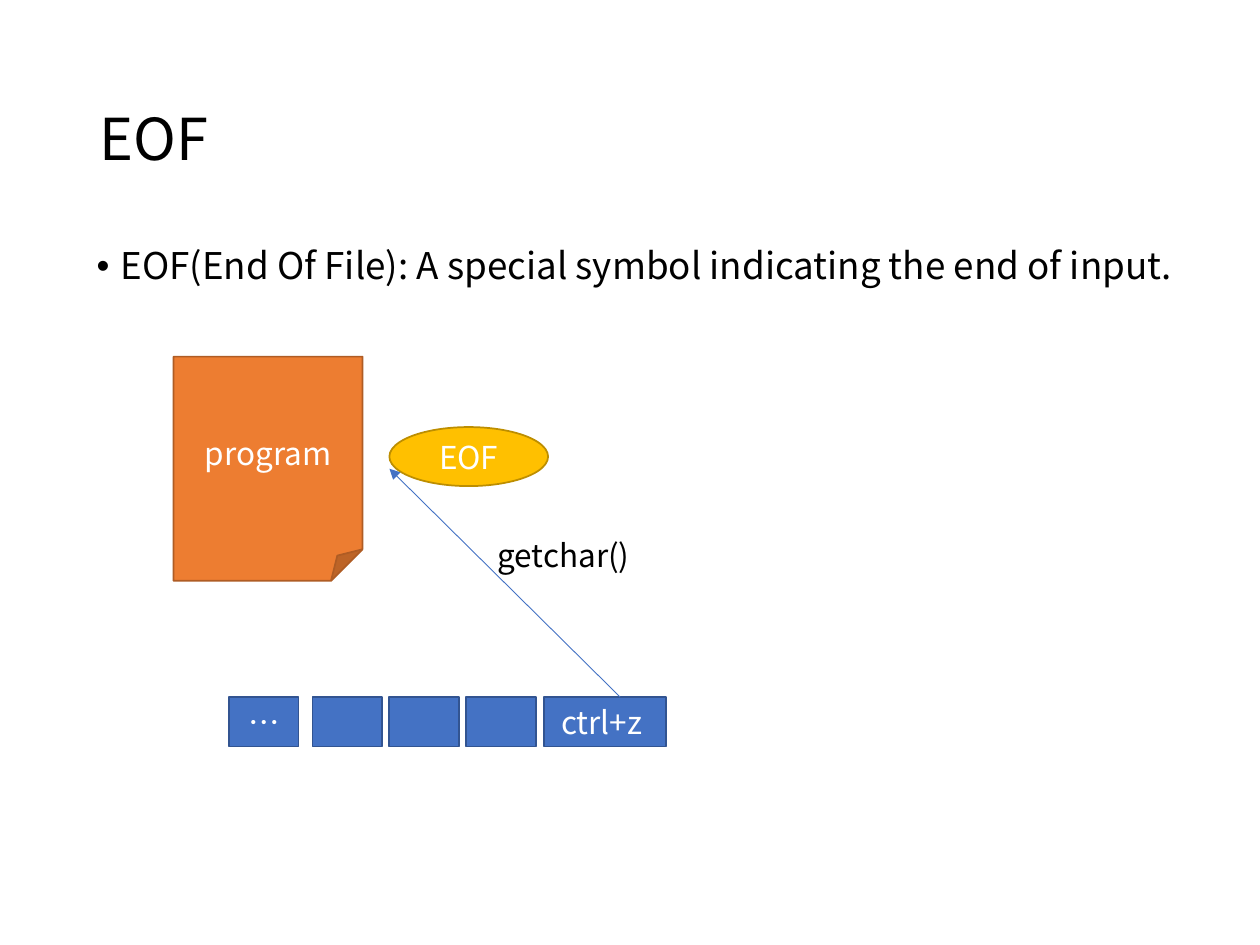
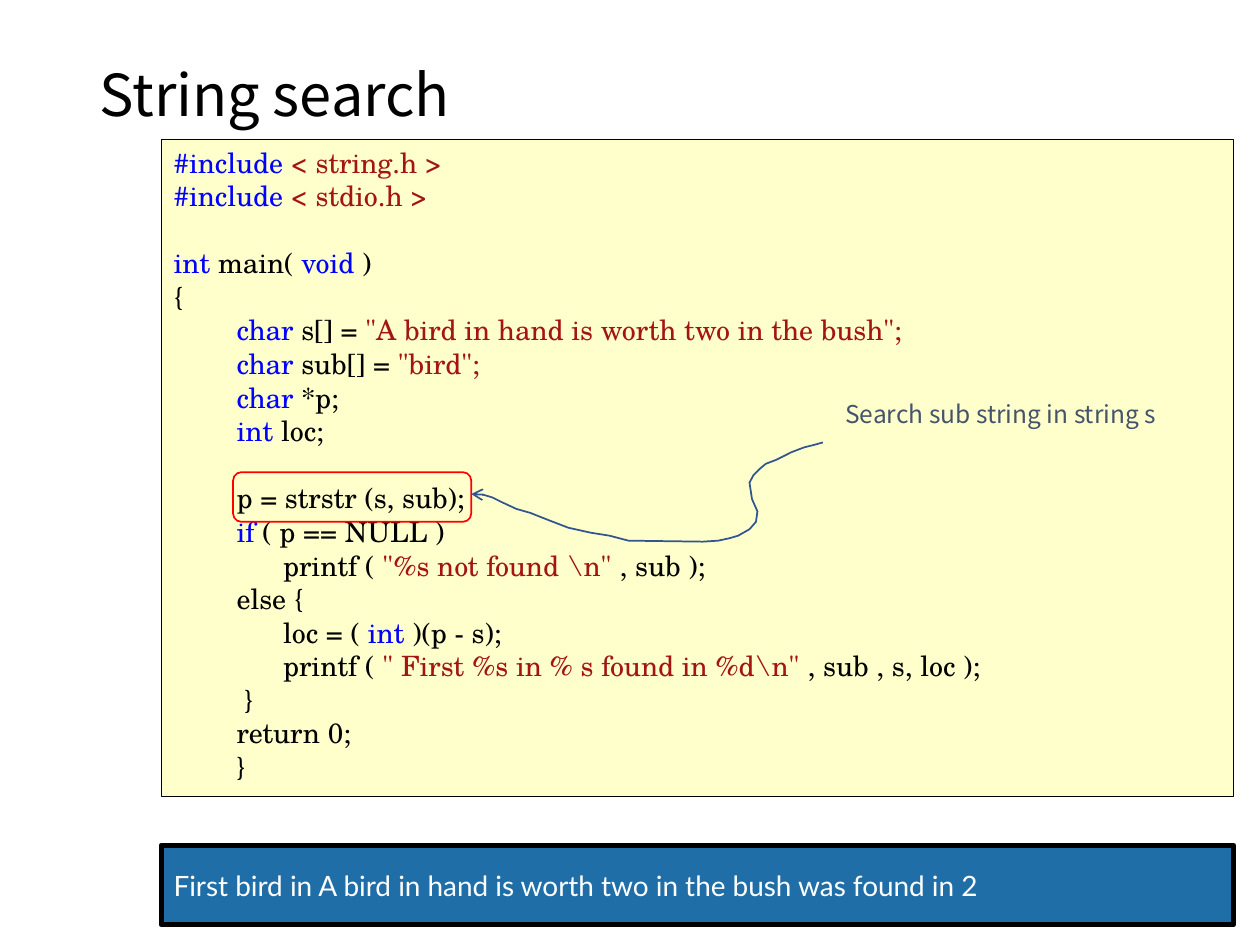
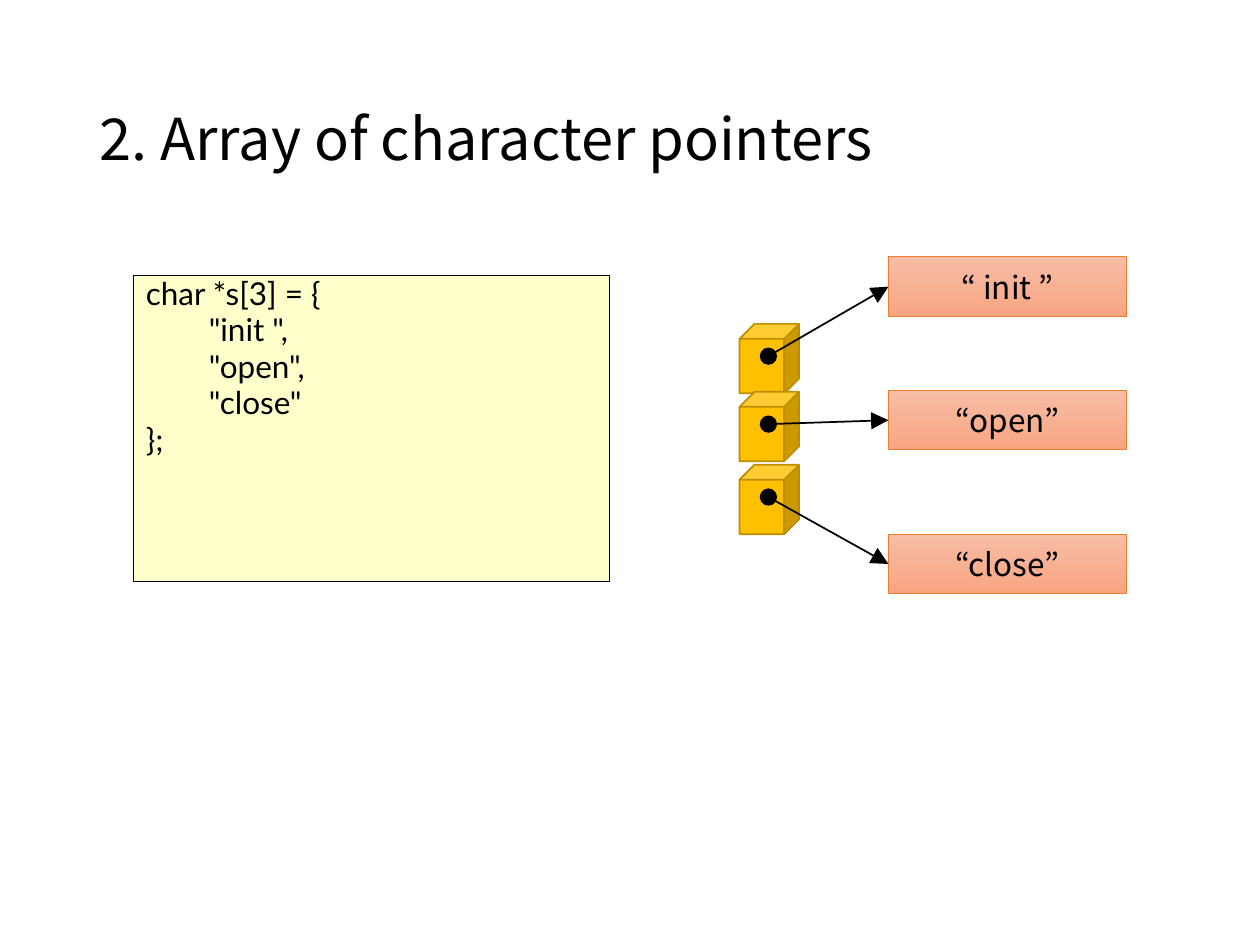
from lxml.etree import SubElement
from pptx import Presentation
from pptx.dml.color import RGBColor
from pptx.enum.shapes import MSO_CONNECTOR, MSO_SHAPE as SHAPE
from pptx.enum.text import MSO_ANCHOR as ANCHOR, MSO_AUTO_SIZE, PP_ALIGN as ALIGN
from pptx.oxml.ns import qn
from pptx.util import Cm, Pt

SANS, LATO, SERIF = "Noto Sans CJK KR", "Lato", "TeX Gyre Schola"
COLORS = {
    "text": "000000", "white": "FFFFFF", "note": "44546A",
    "blue": "4472C4", "blue edge": "325491",
    "gold": "FFC000", "gold edge": "BD8E00",
    "orange": "ED7D31", "orange edge": "AF5C24",
    "string top": "F7BDA5", "string bottom": "F8A582",
    "code paper": "FFFFCC", "output": "1F6EA7", "highlight": "FF0000",
    "keyword": "0000FF", "literal": "A31515",
}
CODE_INDENT = Cm(1.27)

# None stands for an empty code line; otherwise indent level, then coloured runs.
SEARCH_CODE = [
    (0, ("keyword", "#include "), ("literal", "< string.h >")),
    (0, ("keyword", "#include "), ("literal", "< stdio.h >")),
    None,
    (0, ("keyword", "int "), ("text", "main( "), ("keyword", "void "), ("text", ")")),
    (0, ("text", "{")),
    (1, ("keyword", "char "), ("text", "s[] = "),
     ("literal", '"A bird in hand is worth two in the bush";')),
    (1, ("keyword", "char "), ("text", "sub[] = "), ("literal", '"bird";')),
    (1, ("keyword", "char "), ("text", "*p;")),
    (1, ("keyword", "int "), ("text", "loc;")),
    None,
    (1, ("text", "p = strstr (s, sub);")),
    (1, ("keyword", "if "), ("text", "( p == NULL )")),
    (1, ("text", "      printf ( "), ("literal", r'"%s not found \n" '),
     ("text", ", sub );")),
    (1, ("text", "else {")),
    (1, ("text", "      loc = ( "), ("keyword", "int "), ("text", ")(p - s);")),
    (1, ("text", "      printf ( "), ("literal", r'" First %s in % s found in %d\n" '),
     ("text", ", sub , s, loc );")),
    (1, ("text", " }")),
    (1, ("text", "return 0;")),
    (1, ("text", "}")),
]
ARRAY_CODE = [
    (0, ("text", "char *s[3] = {")),
    (1, ("text", '"init ",')),
    (1, ("text", '"open",')),
    (1, ("text", '"close"')),
    (0, ("text", "};")),
]
NOTE_CURVE = [
    (16.59, 8.92), (16.41, 8.97), (16.21, 9.02), (15.95, 9.12), (15.65, 9.27),
    (15.44, 9.35), (15.32, 9.45), (15.19, 9.58), (15.11, 9.73), (15.16, 10.06),
    (15.27, 10.31), (15.24, 10.52), (15.11, 10.67), (14.88, 10.8), (14.71, 10.85),
    (14.48, 10.9), (14.17, 10.92), (12.67, 10.9), (12.29, 10.8), (11.91, 10.74),
    (11.46, 10.64), (11.07, 10.49), (10.69, 10.34), (10.41, 10.26), (10.13, 10.13),
    (9.93, 10.03), (9.7, 9.96), (9.5, 9.96),
]


def rgb(name):
    return RGBColor.from_string(COLORS[name])


def lengths(values):
    return [Cm(value) for value in values]


def style_run(run, size, color, font):
    run.font.size = Pt(size)
    run.font.color.rgb = rgb(color)
    run.font.name = font
    SubElement(run.font._element, qn("a:ea")).set("typeface", font)


def write(frame, text, size, color="text", font=SANS, align=ALIGN.LEFT):
    frame.text = text
    paragraph = frame.paragraphs[0]
    paragraph.alignment = align
    style_run(paragraph.runs[0], size, color, font)
    return paragraph


def style_line(line, color, width):
    line.color.rgb = rgb(color)
    line.width = Pt(width)


def add_ends(line, size="med", **ends):
    """Put arrowheads on a line, given as headEnd and tailEnd types."""
    for end, kind in ends.items():
        tip = SubElement(line._get_or_add_ln(), qn(f"a:{end}"))
        for key, value in (("type", kind), ("w", size), ("len", size)):
            tip.set(key, value)


def add_titled_slide(deck, title, top=1.02):
    slide = deck.slides.add_slide(deck.slide_layouts[5])
    holder = slide.shapes.title
    holder.left, holder.top, holder.width, holder.height = lengths((1.75, top, 21.9, 3.68))
    frame = holder.text_frame
    frame.auto_size = MSO_AUTO_SIZE.NONE
    frame.vertical_anchor = ANCHOR.MIDDLE
    write(frame, title, 33).line_spacing = 0.9
    return slide


def add_block(slide, kind, box, fill, edge, width=1, text=None, size=18,
              color="white", font=SANS, align=ALIGN.CENTER):
    block = slide.shapes.add_shape(kind, *lengths(box))
    block.shadow.inherit = False
    if fill:
        block.fill.solid()
        block.fill.fore_color.rgb = rgb(fill)
    else:
        block.fill.background()
    style_line(block.line, edge, width)
    if text:
        block.text_frame.vertical_anchor = ANCHOR.MIDDLE
        write(block.text_frame, text, size, color, font, align)
    return block


def add_code(slide, box, lines, size, font, spacing=1.0, before=0):
    frame = add_block(slide, SHAPE.RECTANGLE, box, "code paper", "text", 0.25).text_frame
    frame.vertical_anchor = ANCHOR.TOP
    paragraph, gap = frame.paragraphs[0], 0
    for number, line in enumerate(lines):
        if line is None:
            gap = size * 1.2
            continue
        level, *runs = line
        if number:
            paragraph = frame.add_paragraph()
            paragraph.space_before = Pt(before + gap)
        paragraph.alignment = ALIGN.LEFT
        paragraph.line_spacing = spacing
        paragraph._p.get_or_add_pPr().set("marL", str(level * CODE_INDENT))
        for color, text in runs:
            run = paragraph.add_run()
            run.text = text
            style_run(run, size, color, font)
        gap = 0


def add_label(slide, box, text, size, color="text", wrap=False):
    frame = slide.shapes.add_textbox(*lengths(box)).text_frame
    frame.word_wrap = wrap
    return write(frame, text, size, color)


def add_bullet(slide, box, text):
    paragraph = add_label(slide, box, text, 21, wrap=True)
    paragraph.line_spacing = 0.9
    properties = paragraph._p.get_or_add_pPr()
    properties.set("marL", str(Cm(0.48)))
    properties.set("indent", str(-Cm(0.48)))
    SubElement(properties, qn("a:buFont")).set("typeface", "Arial")
    SubElement(properties, qn("a:buChar")).set("char", "•")


def add_arrow(slide, start, end, color, width, size="med", **ends):
    arrow = slide.shapes.add_connector(MSO_CONNECTOR.STRAIGHT, *lengths(start + end))
    style_line(arrow.line, color, width)
    add_ends(arrow.line, size, **ends)
    SubElement(arrow._element.spPr, qn("a:effectLst"))


def add_curve(slide, points):
    start, *rest = [lengths(point) for point in points]
    builder = slide.shapes.build_freeform(*start)
    builder.add_line_segments(rest, close=False)
    curve = builder.convert_to_shape()
    curve.shadow.inherit = False
    curve.fill.background()
    style_line(curve.line, "blue edge", 1)
    add_ends(curve.line, tailEnd="arrow")


def build_eof(deck):
    slide = add_titled_slide(deck, "EOF")
    add_bullet(slide, (1.7, 4.88, 22.66, 12.5),
               "EOF(End Of File): A special symbol indicating the end of input.")
    input_top = 14.05
    for left, width, text in [(4.62, 1.4, "…"), *((6.3 + 1.55 * i, 1.4, None) for i in range(3)),
                              (10.97, 2.46, "ctrl+z ")]:
        add_block(slide, SHAPE.RECTANGLE, (left, input_top, width, 1),
                  "blue", "blue edge", text=text)
    add_block(slide, SHAPE.OVAL, (7.85, 8.61, 3.2, 1.19), "gold", "gold edge", text="EOF")
    add_block(slide, SHAPE.FOLDED_CORNER, (3.5, 7.19, 3.81, 4.52),
              "orange", "orange edge", text="program")
    add_arrow(slide, (12.5, input_top), (7.85, 9.45), "blue", 0.5, tailEnd="triangle")
    add_label(slide, (9.78, 10.69, 3.25, 1.02), "getchar()", 18)


def build_string_search(deck):
    slide = add_titled_slide(deck, "String search", top=0.13)
    left, width = 3.25, 21.62
    add_code(slide, (left, 2.8, width, 13.26), SEARCH_CODE, 16, SERIF)
    add_block(slide, SHAPE.ROUNDED_RECTANGLE, (4.7, 9.52, 4.8, 1), None, "highlight")
    add_curve(slide, NOTE_CURVE)
    add_label(slide, (16.79, 7.92, 7.06, 0.86), "Search sub string in string s", 14, "note")
    add_block(slide, SHAPE.RECTANGLE, (left, 17.04, width, 1.6), "output", "text", 3,
              "First bird in A bird in hand is worth two in the bush was found in 2",
              16, font=LATO, align=ALIGN.LEFT)


def build_pointer_array(deck):
    slide = add_titled_slide(deck, "2. Array of character pointers")
    add_code(slide, (2.69, 5.54, 9.6, 6.17), ARRAY_CODE, 18, LATO, 0.8, 3.6)
    rows = [("“ init ”", 6.53, 5.18), ("“open”", 7.9, 7.87), ("“close”", 9.37, 10.77)]
    string_left, string_height = 17.91, 1.2
    for text, pointer_top, string_top in rows:
        add_block(slide, SHAPE.CUBE, (14.91, pointer_top, 1.2, 1.4), "gold", "gold edge")
        string = add_block(slide, SHAPE.RECTANGLE, (string_left, string_top, 4.8, string_height),
                           "string top", "orange", 0.5, text, color="text")
        string.fill.gradient()
        string.fill.gradient_angle = 270
        for stop, color in zip(string.fill.gradient_stops, ("string top", "string bottom")):
            stop.color.rgb = rgb(color)
    for _, pointer_top, string_top in rows:
        add_arrow(slide, (15.49, pointer_top + 0.65),
                  (string_left, string_top + string_height / 2),
                  "text", 1, "lg", headEnd="oval", tailEnd="triangle")


def main():
    deck = Presentation()
    deck.slide_width, deck.slide_height = Cm(25.4), Cm(19.05)
    build_eof(deck)
    build_string_search(deck)
    build_pointer_array(deck)
    deck.save("out.pptx")


if __name__ == "__main__":
    main()
